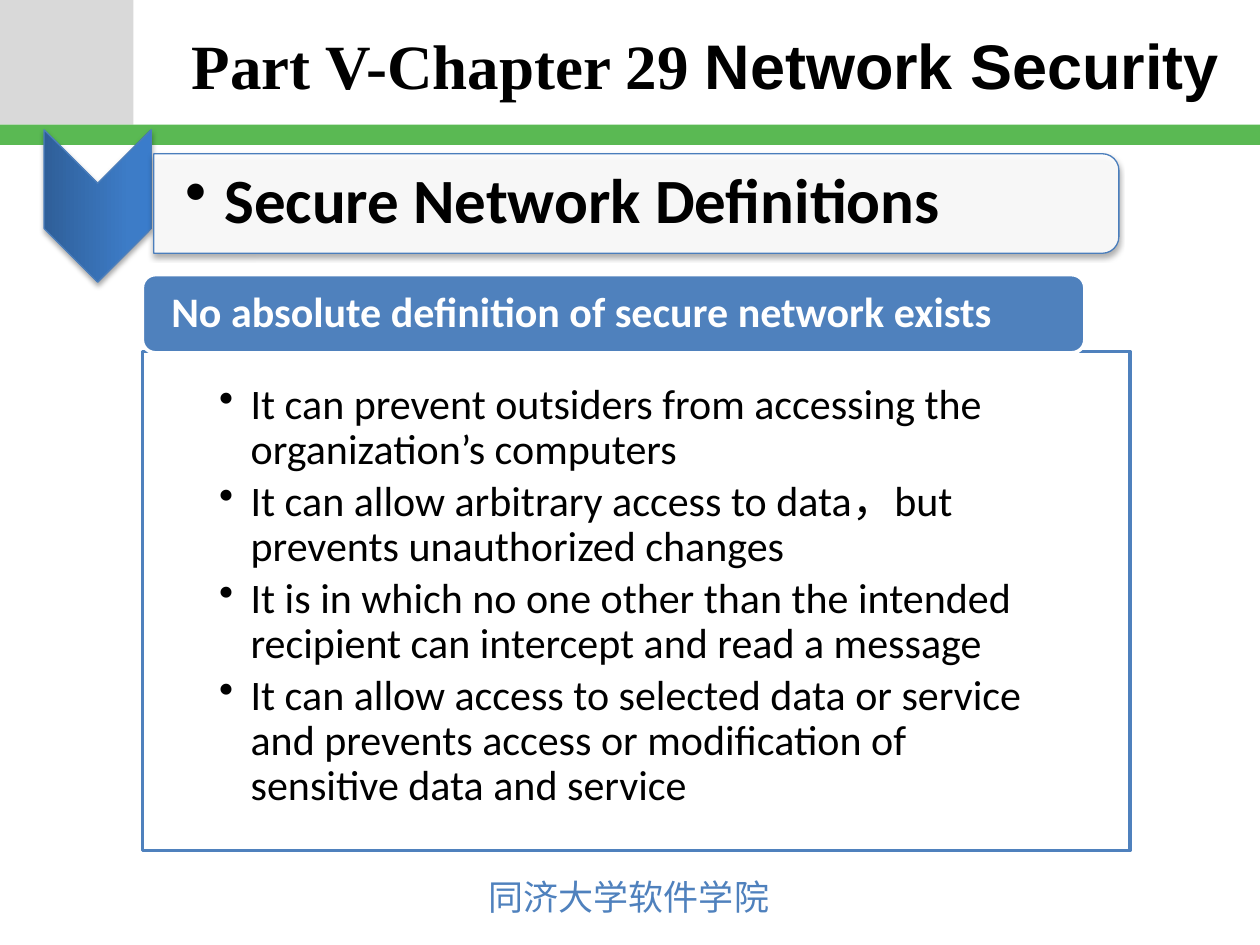
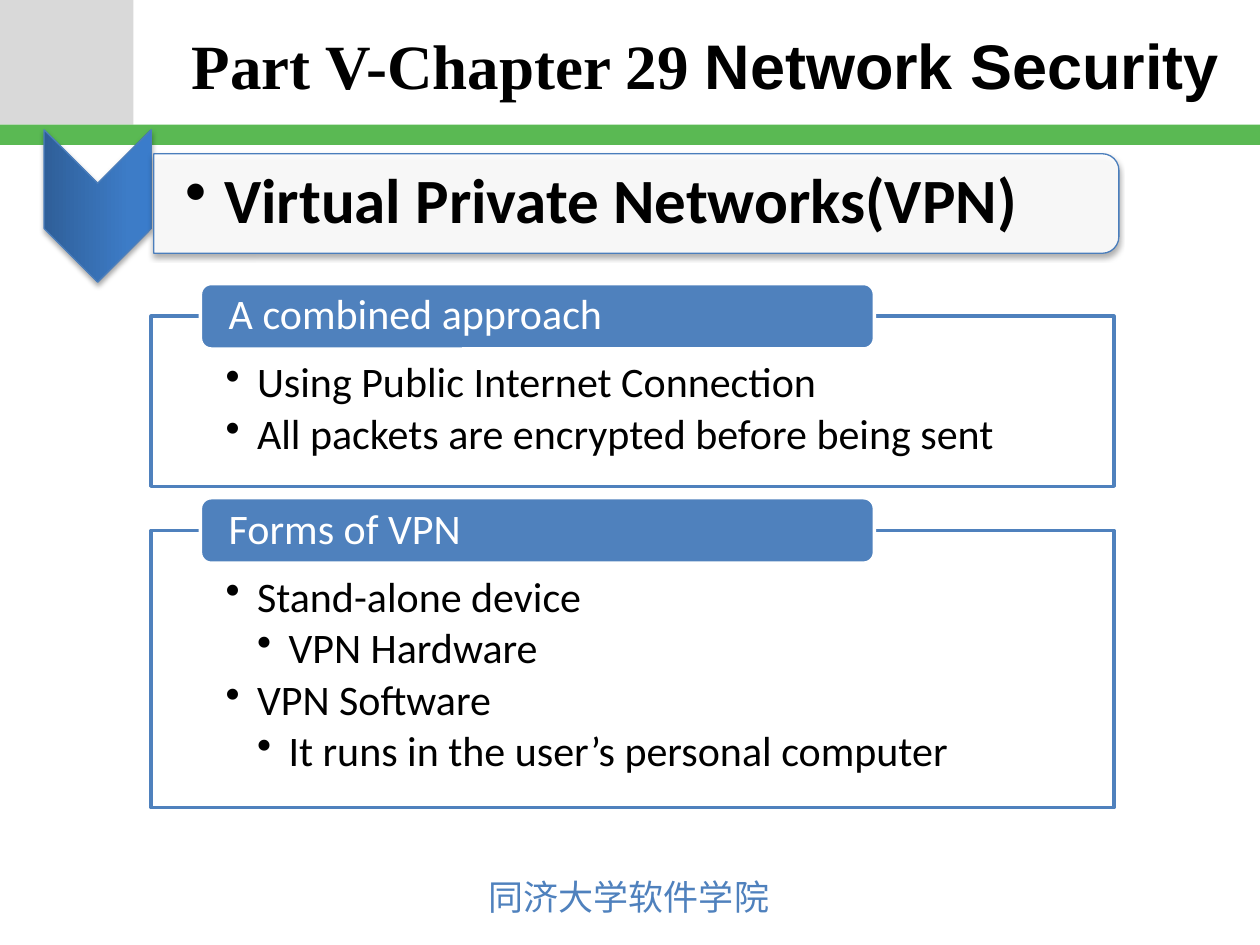
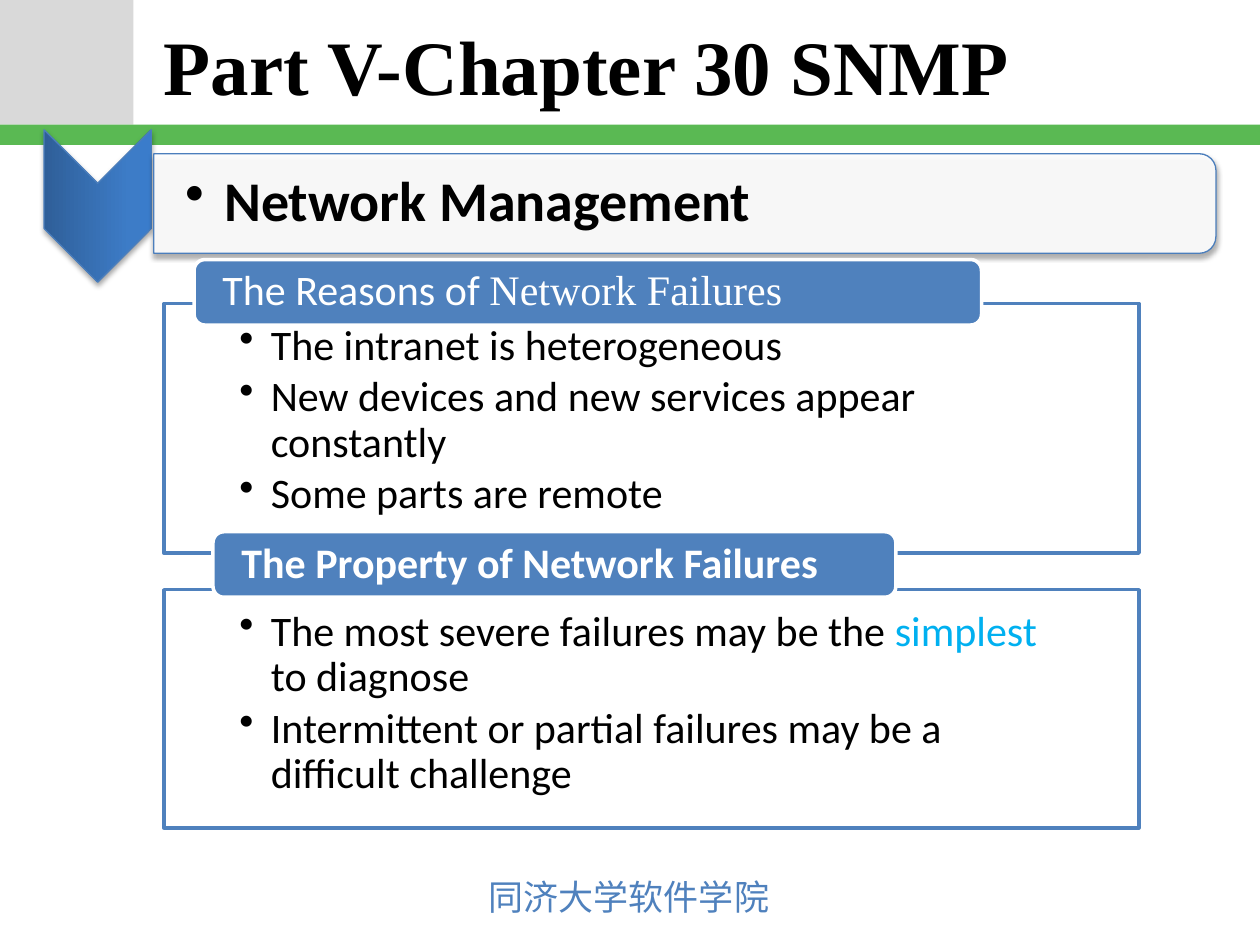
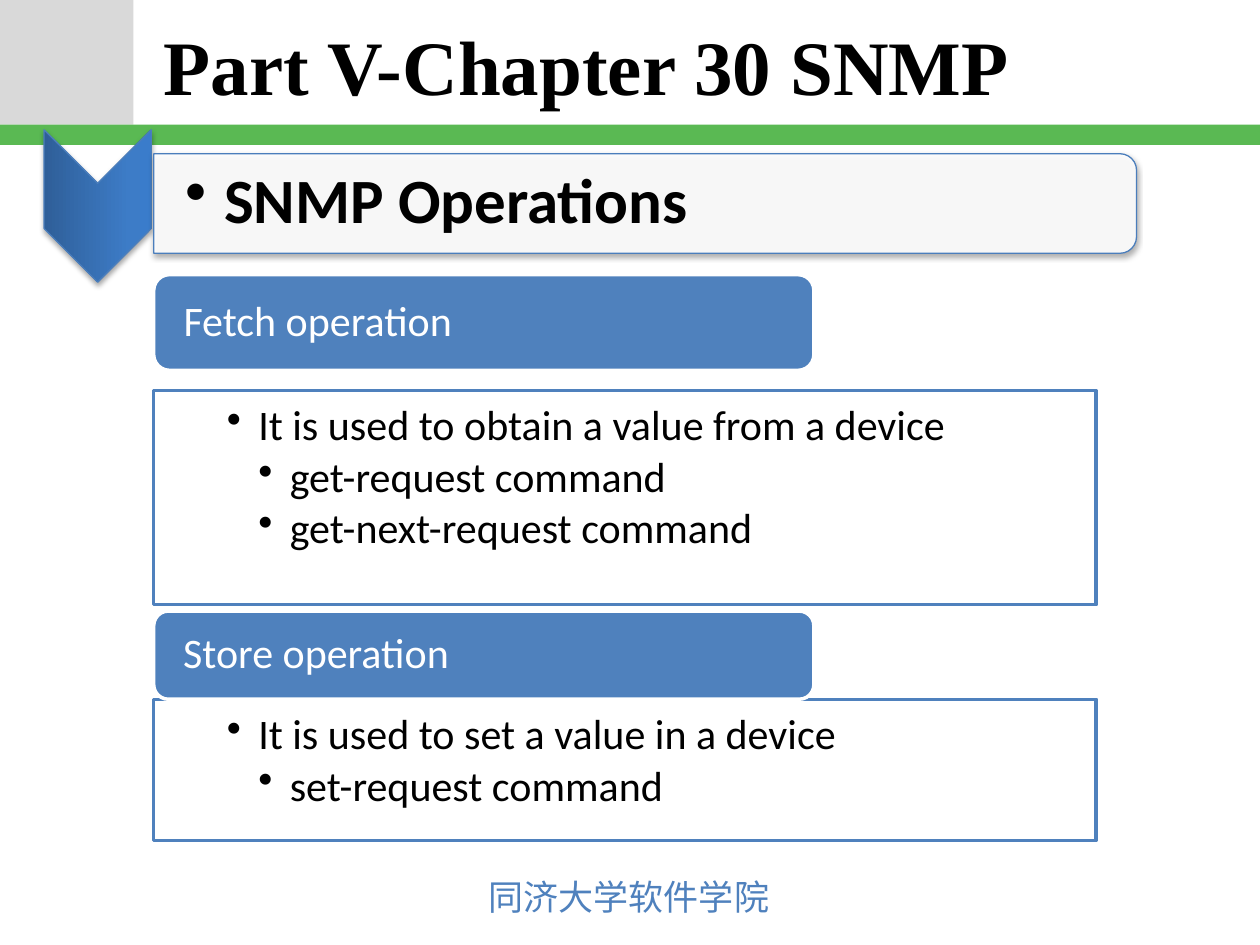
from copy import deepcopy

from lxml import etree
from pptx import Presentation
from pptx import util as u
from pptx.dml.color import RGBColor
from pptx.enum import shapes, text
from pptx.oxml.ns import qn

# Shared look
WIDTH, HEIGHT = 10, 7.5
BLUE, EDGE, WHITE, BLACK, CYAN = "4F81BD", "4B7EBC", "FFFFFF", "000000", "00B0F0"
GREY, GREEN = "D9D9D9", "5AB953"
CHEVRON_STOPS = [(0, "2F5F99"), (0.8, "3D7CC7"), (1, "3A7CCB")]
BODY, SERIF, SANS, CJK = "Calibri", "Times New Roman", "Arial", "Noto Sans CJK JP"
FOOTER = "同济大学软件学院"
HEADING_LEFT, HEADING_TOP, HEADING_HEIGHT = 1.22, 1.22, 0.79

# Content: a run is (text, overrides), a bullet is (level, runs)
SECURITY = dict(runs=[("Part V-Chapter 29 ", {}), ("Network Security", {"font": SANS})],
                size=36, width=8.8, align=text.PP_ALIGN.CENTER)
SNMP = dict(runs=[("Part V-Chapter 30 SNMP", {})],
            size=44, width=8.6, align=text.PP_ALIGN.LEFT)


def bullet(level, words):
    return level, [(words, {})]


SLIDES = [
    dict(title=SECURITY, heading="Secure Network Definitions", heading_size=36,
         heading_width=7.66, panel=(1.13, 7.84), inset=(0.61, 0.25),
         sections=[
             dict(tab=(1.13, 2.18, 7.48, 0.62), panel=(2.79, 3.96),
                  label=[("No absolute definition of secure network exists", {"bold": True})],
                  bullets=[
                      bullet(1, "It can prevent outsiders from accessing the organization’s computers"),
                      bullet(1, "It can allow arbitrary access to data，but prevents unauthorized changes"),
                      bullet(1, "It is in which no one other than the intended recipient "
                                "can intercept and read a message"),
                      bullet(1, "It can allow access to selected data or service and prevents "
                                "access or modification of sensitive data and service")]),
         ]),
    dict(title=SECURITY, heading="Virtual Private Networks(VPN)", heading_size=36,
         heading_width=7.66, panel=(1.2, 7.64), inset=(0.59, 0.36),
         sections=[
             dict(tab=(1.59, 2.25, 5.35, 0.52), panel=(2.51, 1.35),
                  label=[("A combined approach", {})],
                  bullets=[bullet(1, "Using Public Internet Connection"),
                           bullet(1, "All packets are encrypted before being sent")]),
             dict(tab=(1.59, 3.95, 5.35, 0.52), panel=(4.21, 2.2),
                  label=[("Forms of VPN", {})],
                  bullets=[bullet(1, "Stand-alone device"),
                           bullet(2, "VPN Hardware"),
                           bullet(1, "VPN Software"),
                           bullet(2, "It runs in the user’s personal computer")]),
         ]),
    dict(title=SNMP, heading="Network Management", heading_size=32,
         heading_width=8.43, panel=(1.3, 7.74), inset=(0.6, 0.16),
         sections=[
             dict(tab=(1.54, 2.06, 6.25, 0.52), panel=(2.41, 1.98),
                  label=[("The Reasons of ", {}), ("Network Failures", {"font": SERIF})],
                  bullets=[bullet(1, "The intranet is heterogeneous"),
                           bullet(1, "New devices and new services appear constantly"),
                           bullet(1, "Some parts are remote")]),
             dict(tab=(1.69, 4.22, 5.42, 0.52), panel=(4.68, 1.89),
                  label=[("The Property of Network Failures", {"bold": True})],
                  bullets=[(1, [("The most severe failures may be the ", {}),
                                ("simplest ", {"colour": CYAN}), ("to diagnose", {})]),
                           bullet(1, "Intermittent or partial failures may be a difficult challenge")]),
         ]),
    dict(title=SNMP, heading="SNMP Operations", heading_size=36,
         heading_width=7.8, panel=(1.22, 7.48), inset=(0.58, 0.11),
         sections=[
             dict(tab=(1.22, 2.18, 5.24, 0.76), panel=(3.1, 1.7),
                  label=[("Fetch operation", {})],
                  bullets=[bullet(1, "It is used to obtain a value from a device"),
                           bullet(2, "get-request command"),
                           bullet(2, "get-next-request command")]),
             dict(tab=(1.22, 4.85, 5.24, 0.7), panel=(5.55, 1.12),
                  label=[("Store operation", {})],
                  bullets=[bullet(1, "It is used to set a value in a device"),
                           bullet(2, "set-request command")]),
         ]),
]


def rgb(colour):
    return RGBColor.from_string(colour)


def inches(*lengths):
    return [u.Inches(length) for length in lengths]


def child(parent, tag, **attributes):
    return etree.SubElement(parent, qn(tag), {k: str(v) for k, v in attributes.items()})


# Shapes
def draw(slide, kind, box, fill=None, line=None, line_width=2, alpha=None):
    part = slide.shapes.add_shape(kind, *inches(*box))
    part.shadow.inherit = False
    if fill:
        part.fill.solid()
        part.fill.fore_color.rgb = rgb(fill)
    if alpha:
        child(part.element.spPr.find(".//" + qn("a:srgbClr")), "a:alpha", val=alpha * 1000)
    if line:
        part.line.color.rgb = rgb(line)
        part.line.width = u.Pt(line_width)
    else:
        part.line.fill.background()
    return part


def draw_turned(slide, kind, box, **look):
    """Fill the visible box with a shape turned by 90 degrees, with a soft shadow."""
    left, top, width, height = box
    shift = (width - height) / 2
    part = draw(slide, kind, (left + shift, top - shift, height, width),
                line=EDGE, line_width=0.75, **look)
    part.rotation = 90
    effects = part.element.spPr.find(qn("a:effectLst"))
    shadow = child(effects, "a:outerShdw", blurRad=u.Pt(3.1), dist=u.Pt(1.8),
                   dir=90 * 60000, rotWithShape=0)
    child(child(shadow, "a:srgbClr", val=BLACK), "a:alpha", val=35000)
    return part


# Text
def set_frame(frame, insets, anchor):
    frame.word_wrap = True
    frame.auto_size = text.MSO_AUTO_SIZE.NONE
    frame.vertical_anchor = anchor
    (frame.margin_left, frame.margin_top,
     frame.margin_right, frame.margin_bottom) = inches(*insets)


def add_runs(paragraph, runs, size, colour=BLACK, font=BODY, bold=False):
    for words, own in runs:
        run = paragraph.add_run()
        run.text = words
        run.font.size = u.Pt(size)
        run.font.name = own.get("font", font)
        run.font.bold = own.get("bold", bold)
        run.font.color.rgb = rgb(own.get("colour", colour))


def space(paragraph, after, level=0, hanging=0, margin=0):
    """Set line spacing and, for a level above 0, a hanging bullet."""
    paragraph.alignment = text.PP_ALIGN.LEFT
    paragraph.level = level
    paragraph.line_spacing = 0.9
    properties = paragraph._p.get_or_add_pPr()
    child(child(properties, "a:spcAft"), "a:spcPct", val=after * 1000)
    if level:
        properties.set("marL", str(u.Inches(margin)))
        properties.set("indent", str(-u.Inches(hanging)))
        child(properties, "a:buChar", char="•")


# Parts of a slide
def add_shared(slide, layout):
    """Build the bands and the footer and hand them to the layout."""
    corner = draw(slide, shapes.MSO_SHAPE.RECTANGLE, (0, 0, 1.06, 0.99), GREY)
    band = draw(slide, shapes.MSO_SHAPE.RECTANGLE, (0, 0.99, WIDTH, 0.16), GREEN)
    footer = slide.shapes.add_textbox(*inches(3.78, 6.9, 2.45, 0.44))
    footer.text_frame.word_wrap = False
    footer.text_frame.auto_size = text.MSO_AUTO_SIZE.SHAPE_TO_FIT_TEXT
    paragraph = footer.text_frame.paragraphs[0]
    add_runs(paragraph, [(FOOTER, {})], 20, BLUE, CJK)
    child(paragraph.runs[0].font._element, "a:ea", typeface=CJK)
    for part in (corner, band, footer):
        layout.shapes.element.append(part.element)


def add_title(slide, runs, size, width, align):
    title = slide.shapes.title
    title.left, title.top, title.width, title.height = inches(1.2, 0.02, width, 0.98)
    set_frame(title.text_frame, (0.1, 0.05, 0.1, 0.05), text.MSO_ANCHOR.MIDDLE)
    paragraph = title.text_frame.paragraphs[0]
    paragraph.alignment = align
    add_runs(paragraph, runs, size, font=SERIF, bold=True)


def add_heading(slide, words, size, width):
    chevron = draw_turned(slide, shapes.MSO_SHAPE.CHEVRON, (0.35, 1.03, 0.85, 1.21))
    chevron.fill.gradient()
    chevron.fill.gradient_angle = 90
    stops = chevron.element.spPr.find(".//" + qn("a:gsLst"))
    stops.append(deepcopy(stops[-1]))
    for stop, (position, colour) in zip(chevron.fill.gradient_stops, CHEVRON_STOPS):
        stop.position = position
        stop.color.rgb = rgb(colour)

    draw_turned(slide, shapes.MSO_SHAPE.ROUND_2_SAME_RECTANGLE,
                (HEADING_LEFT, HEADING_TOP, width, HEADING_HEIGHT), fill=WHITE, alpha=90)
    heading = slide.shapes.add_textbox(
        *inches(HEADING_LEFT, HEADING_TOP + 0.04, width - 0.04, HEADING_HEIGHT - 0.08))
    set_frame(heading.text_frame, (0.25, 0.02, 0.02, 0.02), text.MSO_ANCHOR.MIDDLE)
    paragraph = heading.text_frame.paragraphs[0]
    space(paragraph, 15, level=1, hanging=0.31, margin=0.31)
    add_runs(paragraph, [(words, {})], size, bold=True)


def add_section(slide, section, left, width, side, upper):
    top, height = section["panel"]
    panel = draw(slide, shapes.MSO_SHAPE.RECTANGLE, (left, top, width, height),
                 WHITE, BLUE, alpha=90)
    frame = panel.text_frame
    set_frame(frame, (side, upper, side, 0.19), text.MSO_ANCHOR.TOP)
    for index, (level, runs) in enumerate(section["bullets"]):
        paragraph = frame.add_paragraph() if index else frame.paragraphs[0]
        space(paragraph, 15, level, hanging=0.25, margin=0.25 * level)
        add_runs(paragraph, runs, 24)

    tab = draw(slide, shapes.MSO_SHAPE.ROUNDED_RECTANGLE, section["tab"], BLUE, WHITE)
    set_frame(tab.text_frame, (0.2, 0, 0.2, 0), text.MSO_ANCHOR.MIDDLE)
    label = tab.text_frame.paragraphs[0]
    space(label, 35)
    add_runs(label, section["label"], 24, WHITE)


def main():
    deck = Presentation()
    deck.slide_width, deck.slide_height = inches(WIDTH, HEIGHT)
    layout = deck.slide_layouts[5]
    for number, content in enumerate(SLIDES):
        slide = deck.slides.add_slide(layout)
        if number == 0:
            add_shared(slide, layout)
        add_title(slide, **content["title"])
        add_heading(slide, content["heading"], content["heading_size"],
                    content["heading_width"])
        for section in content["sections"]:
            add_section(slide, section, *content["panel"], *content["inset"])
    deck.save("out.pptx")


if __name__ == "__main__":
    main()
